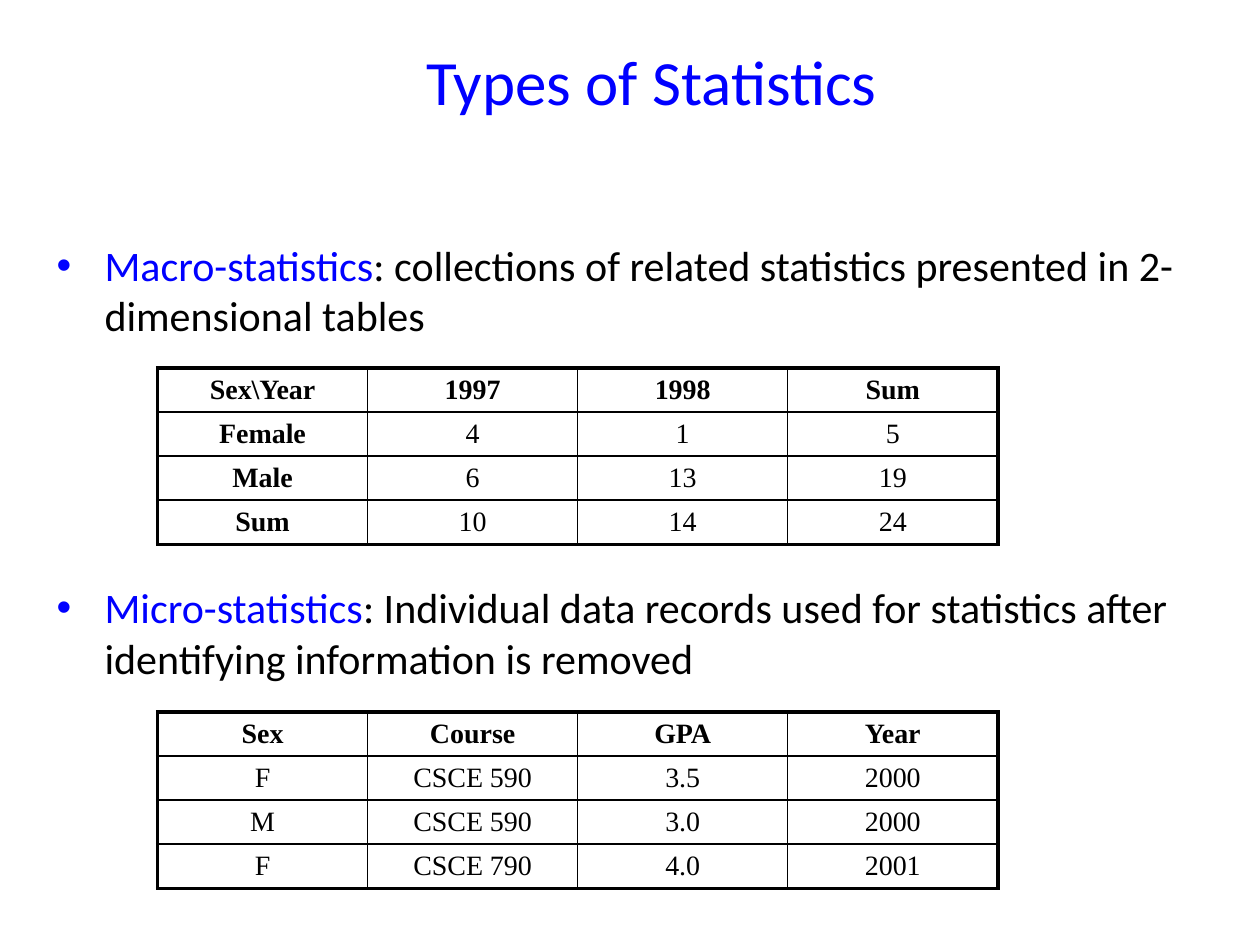
"""Build a slide on macro-statistics and micro-statistics with two example tables."""
from dataclasses import dataclass

import lxml.etree
import pptx
import pptx.dml.color
import pptx.enum.text
import pptx.oxml.ns
import pptx.util

Inches = pptx.util.Inches
Pt = pptx.util.Pt
qn = pptx.oxml.ns.qn

BLUE = pptx.dml.color.RGBColor(0x00, 0x00, 0xFF)
BLACK = pptx.dml.color.RGBColor(0x00, 0x00, 0x00)
HEADING_FONT = "Calibri"
TABLE_FONT = "Times New Roman"
TABLE_LEFT, TABLE_WIDTH, ROW_HEIGHT = 1.25, 6.67, 0.35
OUTER_LINE, INNER_LINE = 2.25, 1


@dataclass(frozen=True)
class StatisticsType:
    """A kind of statistics, its definition and its example table."""
    term: str
    definition: str
    space_before: float
    table_top: float
    bold_first_column: bool
    records: tuple[tuple[str, ...], ...]


STATISTICS_TYPES = (
    StatisticsType(
        "Macro-statistics",
        ": collections of related statistics presented in 2-dimensional tables",
        0, 2.92, True,
        (("Sex\\Year", "1997", "1998", "Sum"),
         ("Female", "4", "1", "5"),
         ("Male", "6", "13", "19"),
         ("Sum", "10", "14", "24")),
    ),
    StatisticsType(
        "Micro-statistics",
        ": Individual data records used for statistics after identifying information is removed",
        138, 5.65, False,
        (("Sex", "Course", "GPA", "Year"),
         ("F", "CSCE 590", "3.5", "2000"),
         ("M", "CSCE 590", "3.0", "2000"),
         ("F", "CSCE 790", "4.0", "2001")),
    ),
)


def place(shape, left: float, top: float, width: float, height: float) -> None:
    """Move and size a shape, in inches."""
    shape.left, shape.top = Inches(left), Inches(top)
    shape.width, shape.height = Inches(width), Inches(height)


def write_definition(paragraph, kind: StatisticsType) -> None:
    """Write one bulleted definition with a coloured term."""
    paragraph.font.size = Pt(24)
    paragraph.font.name = HEADING_FONT
    paragraph.space_before = Pt(kind.space_before)
    for wording, color in ((kind.term, BLUE), (kind.definition, BLACK)):
        run = paragraph.add_run()
        run.text = wording
        run.font.color.rgb = color
    properties = paragraph._p.get_or_add_pPr()
    properties.set("marL", str(Inches(0.38)))
    properties.set("indent", str(-Inches(0.38)))
    bullet = lxml.etree.Element(qn("a:buChar"), char="•")
    properties.insert_element_before(bullet, "a:tabLst", "a:defRPr", "a:extLst")


def set_borders(cell, widths: dict[str, float]) -> None:
    """Draw the black borders of a cell, with widths in points by side."""
    properties = cell._tc.get_or_add_tcPr()
    for position, side in enumerate("LRTB"):
        line = lxml.etree.Element(qn(f"a:ln{side}"), w=str(Pt(widths[side])))
        fill = lxml.etree.SubElement(line, qn("a:solidFill"))
        lxml.etree.SubElement(fill, qn("a:srgbClr"), val=str(BLACK))
        properties.insert(position, line)


def add_example(slide, kind: StatisticsType) -> None:
    """Add the example table of one kind of statistics."""
    row_count, column_count = len(kind.records), len(kind.records[0])
    example = slide.shapes.add_table(
        row_count, column_count, Inches(TABLE_LEFT), Inches(kind.table_top),
        Inches(TABLE_WIDTH), Inches(ROW_HEIGHT * row_count)).table
    example.first_row = example.horz_banding = False
    for r, record in enumerate(kind.records):
        for c, value in enumerate(record):
            cell = example.cell(r, c)
            cell.fill.background()
            cell.margin_top = cell.margin_bottom = Inches(0.04)
            cell.vertical_anchor = pptx.enum.text.MSO_ANCHOR.MIDDLE
            cell.text = value
            paragraph = cell.text_frame.paragraphs[0]
            paragraph.alignment = pptx.enum.text.PP_ALIGN.CENTER
            paragraph.font.name = TABLE_FONT
            paragraph.font.size = Pt(16)
            paragraph.font.bold = r == 0 or (c == 0 and kind.bold_first_column)
            paragraph.font.color.rgb = BLACK
            outer = {"L": c == 0, "R": c == column_count - 1,
                     "T": r == 0, "B": r == row_count - 1}
            set_borders(cell, {side: OUTER_LINE if edge else INNER_LINE
                               for side, edge in outer.items()})


def build() -> None:
    """Build and save the slide."""
    deck = pptx.Presentation()
    deck.slide_width, deck.slide_height = Inches(10), Inches(7.5)
    slide = deck.slides.add_slide(deck.slide_layouts[1])

    title = slide.shapes.title
    place(title, 0.57, 0.31, 9, 0.66)
    title.text_frame.text = "Types of Statistics"
    title.text_frame.margin_left = Inches(0.3)
    heading = title.text_frame.paragraphs[0]
    heading.alignment = pptx.enum.text.PP_ALIGN.CENTER
    heading.font.name = HEADING_FONT
    heading.font.size = Pt(36)
    heading.font.color.rgb = BLUE

    definitions = slide.placeholders[1]
    place(definitions, 0.35, 1.85, 9.16, 4.47)
    frame = definitions.text_frame
    frame.auto_size = pptx.enum.text.MSO_AUTO_SIZE.NONE
    for index, kind in enumerate(STATISTICS_TYPES):
        write_definition(frame.add_paragraph() if index else frame.paragraphs[0], kind)
        add_example(slide, kind)

    deck.save("out.pptx")


build()
